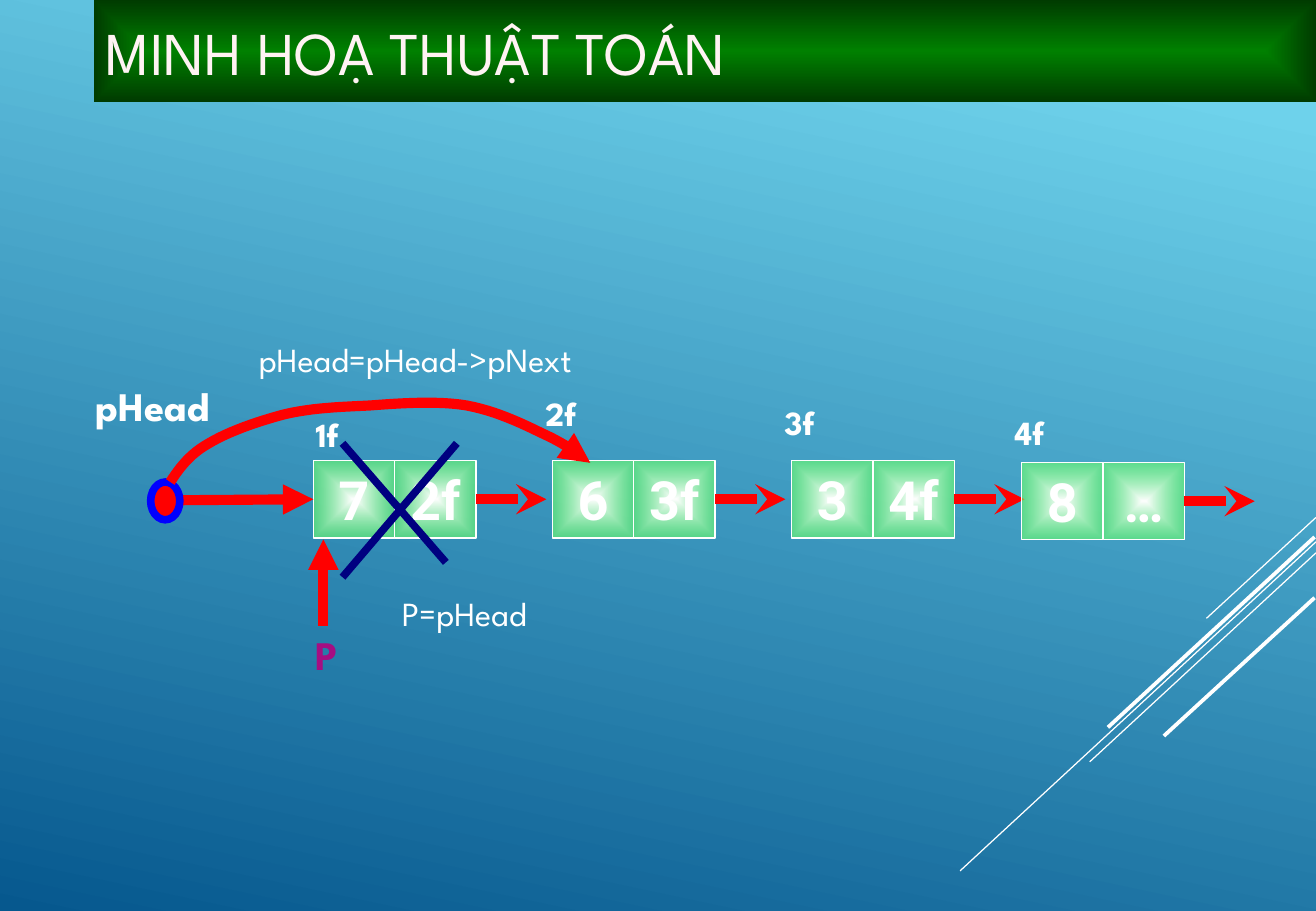
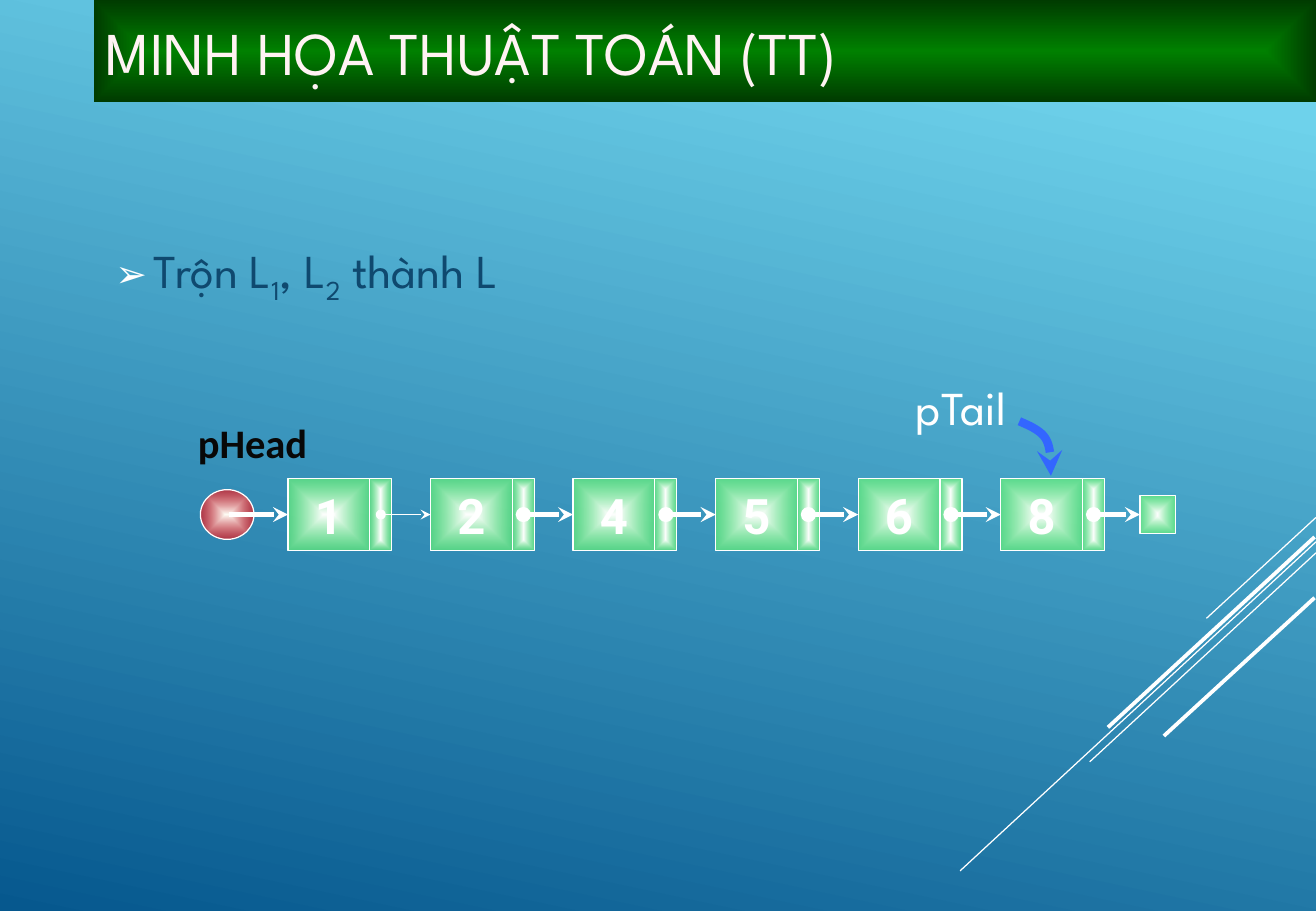
from lxml import etree
from pptx import Presentation
from pptx.dml.color import RGBColor
from pptx.enum import shapes as sh, text as tx
from pptx.oxml import parse_xml
from pptx.oxml.ns import nsdecls, qn
from pptx.util import Cm, Pt

COLORS = {
    "sky": "6ED2EB", "deep": "06588E", "white": "FFFFFF", "title": "FFF3F3",
    "band": "008000", "band_edge": "003B00", "cell": "69FF69",
    "cream": "FFFFF7", "red": "FF0000", "blue": "0000FF", "navy": "000080",
    "purple": "A50E82", "ink": "0F496F", "black": "080808", "tail": "3366FF",
}
FONT = "League Spartan"
SLIDE_W, SLIDE_H = 27.51, 19.05
CENTER_PATH = ('<a:path path="shape"><a:fillToRect l="50000" t="50000" '
               'r="50000" b="50000"/></a:path>')
STREAKS = [
    (27.51, 10.82, 25.22, 12.93, 0.75), (27.51, 11.33, 20.07, 18.21, 0.75),
    (27.51, 11.56, 22.78, 15.93, 0.75), (27.48, 11.23, 23.16, 15.21, 2.25),
    (27.48, 12.5, 24.33, 15.39, 2.25),
]
NEXT_CURVE = [
    (0, 0), (0.2, -0.3), (0.4, -0.58), (0.81, -0.81), (1.19, -1.04),
    (1.82, -1.27), (2.41, -1.42), (2.97, -1.55), (3.55, -1.57), (4.19, -1.6),
    (4.82, -1.65), (5.61, -1.7), (6.19, -1.6), (6.8, -1.49), (7.36, -1.22),
    (7.79, -1.01), (8.23, -0.81), (8.51, -0.61), (8.78, -0.4),
]
TAIL_CURVE = [(0, 0), (0.23, 0.1), (0.46, 0.2), (0.56, 0.38),
              (0.66, 0.56), (0.66, 0.86), (0.66, 1.14)]


def rgb(name):
    return RGBColor.from_string(COLORS[name])


def paint_gradient(fill, owner, stops, direction=CENTER_PATH):
    fill.solid()
    marks = "".join(
        f'<a:gs pos="{pos * 1000}"><a:srgbClr val="{COLORS[name]}">'
        f'<a:alpha val="{alpha * 1000}"/></a:srgbClr></a:gs>'
        for pos, name, alpha in stops)
    gradient = parse_xml(f'<a:gradFill {nsdecls("a")} rotWithShape="1">'
                         f'<a:gsLst>{marks}</a:gsLst>{direction}</a:gradFill>')
    owner.replace(owner.find(qn("a:solidFill")), gradient)


def style_line(shape, color, width, head=None, tail=None):
    shape.line.color.rgb = rgb(color)
    shape.line.width = Pt(width)
    ln = shape._element.spPr.find(qn("a:ln"))
    for tag, kind in (("a:headEnd", head), ("a:tailEnd", tail)):
        if kind:
            etree.SubElement(ln, qn(tag)).set("type", kind)


def style_text(frame, size, color, bold=False, font=FONT):
    for paragraph in frame.paragraphs:
        for run in paragraph.runs:
            run.font.size = Pt(size)
            run.font.name = font
            run.font.bold = bold
            run.font.color.rgb = rgb(color)


def add_line(slide, x1, y1, x2, y2, color, width, head=None, tail=None):
    line = slide.shapes.add_connector(sh.MSO_CONNECTOR.STRAIGHT,
                                      Cm(x1), Cm(y1), Cm(x2), Cm(y2))
    style_line(line, color, width, head, tail)
    etree.SubElement(line._element.spPr, qn("a:effectLst"))
    return line


def add_curve(slide, left, top, points, color, width, tail, steps=12):
    path = []
    for i in range(0, len(points) - 1, 3):
        a, b, c, d = points[i:i + 4]
        for step in range(1, steps + 1):
            t = step / steps
            s = 1 - t
            x, y = (s**3 * a[k] + 3 * s * s * t * b[k] + 3 * s * t * t * c[k]
                    + t**3 * d[k] for k in (0, 1))
            path.append((Cm(left + x), Cm(top + y)))
    builder = slide.shapes.build_freeform(Cm(left), Cm(top))
    builder.add_line_segments(path, close=False)
    curve = builder.convert_to_shape()
    curve.shadow.inherit = False
    curve.fill.background()
    style_line(curve, color, width, tail=tail)


def add_label(slide, left, top, width, height, label, size, color="white",
              bold=False, font=FONT, tight=False):
    frame = slide.shapes.add_textbox(Cm(left), Cm(top),
                                     Cm(width), Cm(height)).text_frame
    frame.word_wrap = True
    frame.text = label
    if tight:
        frame.margin_left = frame.margin_right = 0
        frame.margin_top = frame.margin_bottom = 0
        frame.paragraphs[0].alignment = tx.PP_ALIGN.CENTER
    style_text(frame, size, color, bold, font)


def add_cell(slide, left, top, width, height, value="", size=32,
             kind=sh.MSO_SHAPE.RECTANGLE, center="white", edge="cell"):
    cell = slide.shapes.add_shape(kind, Cm(left), Cm(top), Cm(width), Cm(height))
    cell.shadow.inherit = False
    paint_gradient(cell.fill, cell._element.spPr,
                   [(0, center, 100), (100, edge, 60)])
    style_line(cell, "white", 0.75)
    if value:
        frame = cell.text_frame
        frame.margin_left = frame.margin_right = 0
        frame.margin_top = frame.margin_bottom = 0
        frame.vertical_anchor = tx.MSO_ANCHOR.MIDDLE
        frame.text = value
        frame.paragraphs[0].alignment = tx.PP_ALIGN.CENTER
        style_text(frame, size, "white", True, "Roboto")
    return cell


def decorate_master(prs, slide):
    master = prs.slide_master
    fill = master.background.fill
    fill.solid()
    paint_gradient(fill, master._element.find(".//" + qn("p:bgPr")),
                   [(10, "sky", 100), (100, "deep", 100)],
                   '<a:lin ang="6120000" scaled="0"/>')
    for number, (x1, y1, x2, y2, width) in enumerate(STREAKS, 101):
        streak = add_line(slide, x1, y1, x2, y2, "white", width)._element
        streak.nvCxnSpPr.cNvPr.set("id", str(number))
        master.shapes._spTree.append(streak)


def add_title(slide, title):
    band = slide.shapes.title
    band.left, band.top = Cm(1.96), Cm(0)
    band.width, band.height = Cm(SLIDE_W - 1.96), Cm(2.13)
    paint_gradient(band.fill, band._element.spPr,
                   [(0, "band", 100), (100, "band_edge", 100)])
    frame = band.text_frame
    frame.text = title
    frame.vertical_anchor = tx.MSO_ANCHOR.MIDDLE
    frame.paragraphs[0].alignment = tx.PP_ALIGN.LEFT
    style_text(frame, 36, "title")


def add_merge_step(slide, left, top, width, height):
    body = slide.placeholders[1]
    body.left, body.top = Cm(left), Cm(top)
    body.width, body.height = Cm(width), Cm(height)
    frame = body.text_frame
    frame.vertical_anchor = tx.MSO_ANCHOR.MIDDLE
    step = frame.paragraphs[0]
    props = step._p.get_or_add_pPr()
    props.set("marL", str(Cm(0.79)))
    props.set("indent", str(-Cm(0.79)))
    color = etree.SubElement(props, qn("a:buClr"))
    etree.SubElement(color, qn("a:srgbClr")).set("val", COLORS["white"])
    etree.SubElement(props, qn("a:buSzPct")).set("val", "80000")
    etree.SubElement(props, qn("a:buChar")).set("char", "➢")
    step.space_before, step.space_after = Pt(0), Pt(6)
    for part in ("Trộn L", "1", ", L", "2", " thành L"):
        run = step.add_run()
        run.text = part
        if part.isdigit():
            run.font._element.set("baseline", "-25000")
    style_text(frame, 28, "ink")


def draw_address_chain(slide, left, top):
    w, h = 1.7, 1.62
    nodes = [("7", "2f", 0, 0, "1f", -0.2, -1.1),
             ("6", "3f", 5, 0, "2f", -0.4, -1.55),
             ("3", "4f", 10, 0, "3f", -0.4, -1.35),
             ("8", "…", 14.81, 0.04, "4f", -0.4, -1.15)]
    first = None
    for value, link, x, y, address, dx, dy in nodes:
        x, y = left + x, top + y
        pointer = add_cell(slide, x + w, y, w, h, link)
        data = add_cell(slide, x, y, w, h, value)
        first = first or data
        end_x, mid = x + 2 * w, y + h / 2
        arrow = add_line(slide, end_x, mid, end_x + 1.47, mid,
                         "red", 6, tail="stealth")
        arrow.begin_connect(pointer, 3)
        add_label(slide, x + dx, top + dy, 1.4, 1.09, address, 20, bold=True)
    return first


def draw_head_pointer(slide, left, top, first):
    arrow = add_line(slide, left + 0.61, top + 0.38, left + 3.4, top + 0.38,
                     "red", 6, tail="triangle")
    arrow.end_connect(first, 1)
    add_label(slide, left - 1.4, top - 2.23, 3.2, 1.27, "pHead", 24, bold=True)
    head = slide.shapes.add_shape(sh.MSO_SHAPE.OVAL, Cm(left), Cm(top),
                                  Cm(0.61), Cm(0.79))
    head.shadow.inherit = False
    head.fill.solid()
    head.fill.fore_color.rgb = rgb("red")
    style_line(head, "blue", 4.5)
    add_curve(slide, left + 0.41, top, NEXT_CURVE, "red", 6, "triangle")
    add_label(slide, left + 2.01, top - 3.12, 8, 1.09, "pHead=pHead->pNext", 20)


def draw_removal(slide, left, top):
    add_line(slide, left + 0.21, top + 3.45, left + 0.21, top + 1.65,
             "red", 6, tail="triangle")
    add_label(slide, left - 0.2, top + 3.43, 1.07, 1.27, "P", 24, "purple", True)
    for x1, x2, y2 in ((0.61, 2.77, 2.13), (3, 0.61, 2.44)):
        add_line(slide, left + x1, top - 0.36, left + x2, top + y2, "navy", 4.5)
    add_label(slide, left + 1.6, top + 2.64, 4, 1.09, "P=pHead", 20)


def draw_merged_list(slide, left, top):
    pitch, data_w, link_w, h = 2.98, 1.71, 0.46, 1.5
    mid = top + h / 2
    add_cell(slide, left - 1.83, top + 0.23, 1.12, 1.04,
             kind=sh.MSO_SHAPE.OVAL, center="cream", edge="red")
    targets = []
    for i, value in enumerate("124568"):
        x = left + i * pitch
        add_cell(slide, x + data_w, top, link_w, h)
        targets.append(add_cell(slide, x, top, data_w, h, value, 29))
    targets.append(add_cell(slide, left + 17.81, top + 0.35, 0.74, 0.8))
    for i, target in enumerate(targets):
        start = left + (i - 1) * pitch + data_w + link_w / 2 if i else left - 1.24
        link = add_line(slide, start, mid, left + i * pitch, mid, "white",
                        0.75 if i == 1 else 3, "oval" if i else None, "stealth")
        link.end_connect(target, 1)
    add_label(slide, left - 2.24, top - 1.27, 3, 1.17, "pHead", 24, "black",
              True, "Calibri", tight=True)
    add_label(slide, left + 12.98, top - 2.09, 2.18, 1.09, "pTail", 28, tight=True)
    add_curve(slide, left + 15.29, top - 1.2, TAIL_CURVE, "tail", 5, "stealth")


def main():
    prs = Presentation()
    prs.slide_width, prs.slide_height = Cm(SLIDE_W), Cm(SLIDE_H)

    removal = prs.slides.add_slide(prs.slide_layouts[5])
    decorate_master(prs, removal)
    add_title(removal, "MINH HOẠ THUẬT TOÁN")
    first = draw_address_chain(removal, 6.55, 9.63)
    draw_head_pointer(removal, 3.15, 10.08, first)
    draw_removal(removal, 6.55, 9.63)

    merge = prs.slides.add_slide(prs.slide_layouts[1])
    add_title(merge, "MINH HỌA THUẬT TOÁN (TT)")
    add_merge_step(merge, 2.16, 4.93, 25.35, 1.6)
    draw_merged_list(merge, 6.02, 10.01)

    prs.save("out.pptx")


if __name__ == "__main__":
    main()
